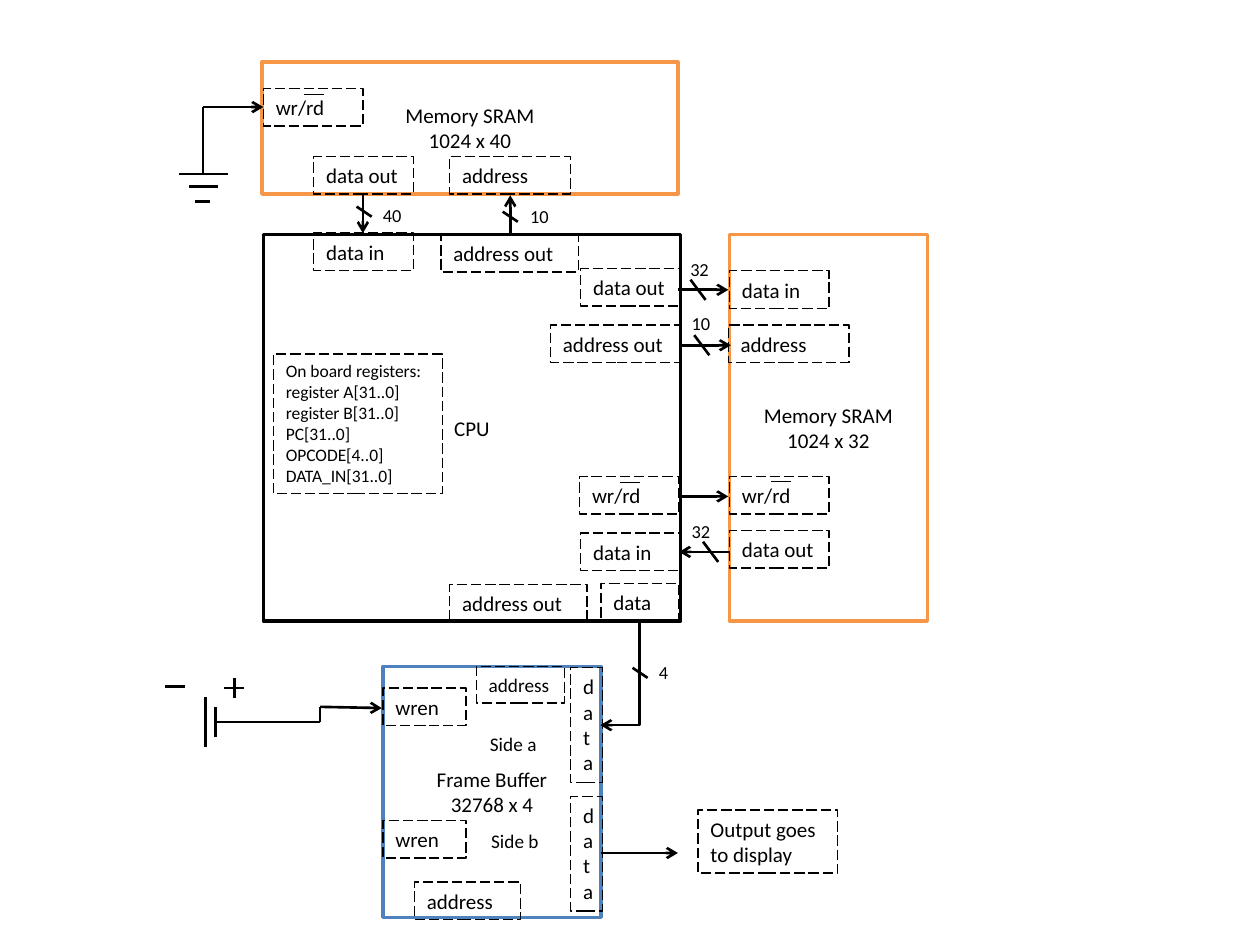
from lxml.etree import SubElement
from pptx import Presentation
from pptx.dml.color import RGBColor
from pptx.enum.dml import MSO_LINE_DASH_STYLE as DASH
from pptx.enum.shapes import MSO_CONNECTOR as CONN, MSO_SHAPE as SHAPE
from pptx.enum.text import MSO_ANCHOR as ANCHOR, MSO_AUTO_SIZE as FIT, PP_ALIGN as ALIGN
from pptx.oxml.ns import qn
from pptx.util import Cm, Pt

BLACK, WHITE, ORANGE, BLUE = "000000", "FFFFFF", "F79646", "4F81BD"

# Large blocks: text, left, top, width, height, outline
BLOCKS = [
    ("CPU", 2.09, 1.86, 3.31, 3.07, BLACK),
    ("Memory SRAM\n1024 x 32", 5.79, 1.86, 1.57, 3.07, ORANGE),
    ("Memory SRAM\n1024 x 40", 2.08, 0.49, 3.3, 1.05, ORANGE),
    ("Frame Buffer\n32768 x 4", 3.04, 5.29, 1.73, 1.99, BLUE),
]

# Dashed ports of the standard size: text, left, top
PORTS = [
    ("data in", 5.79, 2.15), ("data out", 5.79, 4.21), ("data out", 4.61, 2.13),
    ("data in", 4.61, 4.23), ("wr/rd", 4.6, 3.78), ("wr/rd", 5.79, 3.78),
    ("wr/rd", 2.09, 0.7), ("data in", 2.49, 1.85), ("data out", 2.49, 1.24),
]

# Other dashed boxes: text, left, top, width, height, font size
REGISTERS = ("On board registers:\nregister A[31..0]\nregister B[31..0]\n"
             "PC[31..0]\nOPCODE[4..0]\nDATA_IN[31..0]")
BOXES = [
    ("address", 5.78, 2.58, 0.96, 0.3, 12),
    ("address out", 4.37, 2.58, 1.04, 0.3, 12),
    (REGISTERS, 2.17, 2.81, 1.34, 1.11, 10),
    ("address out", 3.5, 1.86, 1.09, 0.3, 12),
    ("address", 3.57, 1.24, 0.96, 0.3, 12),
    ("address", 3.29, 7, 0.84, 0.3, 12),
    ("data", 4.53, 6.32, 0.25, 0.91, 12),
    ("wren", 3.04, 6.51, 0.66, 0.3, 12),
    ("wren", 3.04, 5.46, 0.66, 0.3, 12),
    ("data", 4.53, 5.3, 0.25, 0.91, 12),
    ("address", 3.78, 5.29, 0.7, 0.29, 11),
    ("address out", 3.57, 4.64, 1.09, 0.3, 12),
    ("data", 4.77, 4.63, 0.62, 0.3, 12),
    ("Output goes to display", 5.54, 6.43, 1.11, 0.5, 12),
]

# Bus widths: text, left, top
BUS_WIDTHS = [("32", 5.39, 4.08), ("32", 5.38, 2), ("10", 5.39, 2.43),
              ("10", 4.11, 1.58), ("40", 2.94, 1.57), ("4", 5.13, 5.2)]
SIDES = [("Side b", 3.8, 6.53), ("Side a", 3.79, 5.76)]

# Lines: x1, y1, x2, y2
ARROWS = [
    (5.38, 2.3, 5.78, 2.3), (5.79, 4.38, 5.39, 4.38), (5.41, 2.74, 5.8, 2.74),
    (5.38, 3.94, 5.78, 3.94), (1.61, 0.85, 2.09, 0.85), (2.88, 1.55, 2.88, 1.85),
    (4.05, 1.86, 4.05, 1.55), (2.54, 5.61, 3.03, 5.62), (4.77, 6.77, 5.38, 6.77),
]
GROUND = [(1.42, 1.38, 1.81, 1.38), (1.5, 1.48, 1.73, 1.48),
          (1.55, 1.6, 1.67, 1.6), (1.61, 1.38, 1.61, 0.85)]
BATTERY = [(1.63, 5.53, 1.63, 5.93), (1.71, 5.61, 1.71, 5.85),
           (1.86, 5.38, 1.86, 5.54), (1.78, 5.46, 1.94, 5.46),
           (1.31, 5.45, 1.47, 5.45), (1.71, 5.73, 2.54, 5.73),
           (2.54, 5.73, 2.54, 5.61)]

# Start points of bus slashes and of the bars over "rd"
STEEP_SLASHES = [(5.48, 2.22), (5.58, 4.3), (5.51, 2.66)]
FLAT_SLASHES = [(3.99, 1.68), (2.83, 1.64), (5.02, 5.3)]
OVERBARS = [(4.92, 3.83), (6.12, 3.82), (2.41, 0.75)]


def cm(*inches):
    return [Cm(v * 2.54) for v in inches]


def rgb(color):
    return RGBColor.from_string(color)


def apply(obj, values):
    for name, value in values.items():
        setattr(obj, name, value)


def outline(sp, color, width):
    sp.line.color.rgb = rgb(color)
    sp.line.width = Pt(width)


def write(sp, text, size, frame, align=ALIGN.LEFT):
    tf = sp.text_frame
    apply(tf, {"word_wrap": True, **frame})
    for i, line in enumerate(text.split("\n")):
        p = tf.add_paragraph() if i else tf.paragraphs[0]
        p.alignment = align
        r = p.add_run()
        r.text = line
        apply(r.font, {"name": "Calibri", "size": Pt(size)})
        r.font.color.rgb = rgb(BLACK)


def add_block(slide, text, x, y, w, h, color):
    sp = slide.shapes.add_shape(SHAPE.RECTANGLE, *cm(x, y, w, h))
    sp.shadow.inherit = False
    sp.fill.solid()
    sp.fill.fore_color.rgb = rgb(WHITE)
    outline(sp, color, 2)
    write(sp, text, 12, {"vertical_anchor": ANCHOR.MIDDLE}, ALIGN.CENTER)


def add_label(slide, text, x, y, w, h, size):
    sp = slide.shapes.add_textbox(*cm(x, y, w, h))
    write(sp, text, size, {"auto_size": FIT.SHAPE_TO_FIT_TEXT})
    return sp


def add_box(slide, text, x, y, w=0.79, h=0.3, size=12):
    sp = add_label(slide, text, x, y, w, h, size)
    outline(sp, BLACK, 0.75)
    sp.line.dash_style = DASH.LONG_DASH


def add_line(slide, x1, y1, x2, y2, width=1.5, arrow=False, kind=CONN.STRAIGHT):
    sp = slide.shapes.add_connector(kind, *cm(x1, y1, x2, y2))
    outline(sp, BLACK, width)
    if arrow:
        SubElement(sp.line._get_or_add_ln(), qn("a:tailEnd"), type="arrow")
    SubElement(sp._element.spPr, qn("a:effectLst"))
    return sp


def add_corner_arrow(slide, x, y, w, h):
    """Two-segment arrow, turned so that it runs down and then left."""
    sp = add_line(slide, x, y, x + w, y + h, arrow=True, kind=CONN.ELBOW)
    sp_pr = sp._element.spPr
    sp_pr.find(qn("a:prstGeom")).set("prst", "bentConnector2")
    sp_pr.find(qn("a:xfrm")).set("rot", str(90 * 60000))


def main():
    prs = Presentation()
    prs.slide_width, prs.slide_height = cm(10, 7.5)
    slide = prs.slides.add_slide(prs.slide_layouts[6])

    # Blocks, ports and labels
    for block in BLOCKS:
        add_block(slide, *block)
    for box in PORTS + BOXES:
        add_box(slide, *box)
    for label in BUS_WIDTHS:
        add_label(slide, *label, 0.39, 0.28, 10.5)
    for label in SIDES:
        add_label(slide, *label, 0.64, 0.29, 11)

    # Signals
    for ends in ARROWS:
        add_line(slide, *ends, arrow=True)
    add_corner_arrow(slide, 4.51, 5.19, 0.82, 0.31)

    # Ground and battery symbols
    for ends in GROUND + BATTERY:
        add_line(slide, *ends)

    # Bus slashes and overbars
    for starts, dx, dy, width in [(STEEP_SLASHES, 0.12, 0.16, 1.5),
                                  (FLAT_SLASHES, 0.12, 0.08, 1.5),
                                  (OVERBARS, 0.16, 0, 0.75)]:
        for x, y in starts:
            add_line(slide, x, y, x + dx, y + dy, width)

    prs.save("out.pptx")


main()
